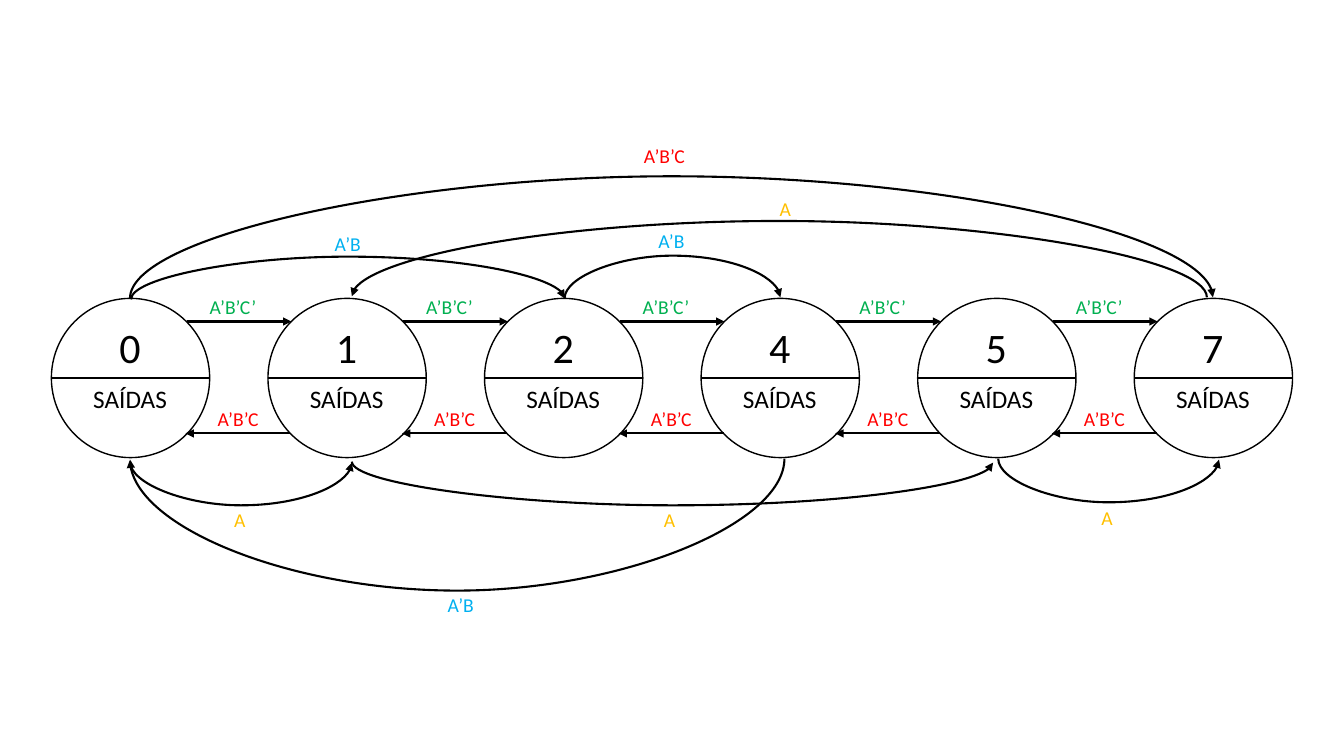
from lxml import etree
from pptx import Presentation
from pptx.dml.color import RGBColor
from pptx.enum.shapes import MSO_CONNECTOR, MSO_SHAPE
from pptx.enum.text import PP_ALIGN
from pptx.oxml.ns import qn
from pptx.util import Inches, Pt

STRAIGHT, CURVE = MSO_CONNECTOR.STRAIGHT, MSO_CONNECTOR.CURVE
CIRCLE = MSO_SHAPE.FLOWCHART_CONNECTOR
LEFT, CENTER = PP_ALIGN.LEFT, PP_ALIGN.CENTER
BLACK, GREEN, RED, BLUE, AMBER = "000000", "00B050", "FF0000", "00B0F0", "FFC000"

STATES = ["0", "1", "2", "4", "5", "7"]
FIRST_LEFT, LAST_LEFT = 0.51, 11.25
PITCH = (LAST_LEFT - FIRST_LEFT) / (len(STATES) - 1)
CIRCLE_TOP, CIRCLE_WIDTH, CIRCLE_HEIGHT = 2.96, 1.57, 1.58
MIDDLE = CIRCLE_TOP + CIRCLE_HEIGHT / 2
FORWARD_Y, BACK_Y = 3.19, 4.3
ARC_STEP = 0.01  # how far an arc's end lies beyond its start, towards the peak


def add_text(shapes, text, left, top, width, height=0.34, size=14, color=BLACK, align=CENTER):
    box = shapes.add_textbox(Inches(left), Inches(top), Inches(width), Inches(height))
    box.text_frame.word_wrap = True
    para = box.text_frame.paragraphs[0]
    para.alignment = align
    span = para.add_run()
    span.text = text
    span.font.name = "Calibri"
    span.font.size = Pt(size)
    span.font.color.rgb = RGBColor.from_string(color)


def add_line(shapes, x1, y1, x2, y2, kind=STRAIGHT, arrow=True):
    line = shapes.add_connector(kind, Inches(x1), Inches(y1), Inches(x2), Inches(y2))
    line.line.color.rgb = RGBColor.from_string(BLACK)
    line.line.width = Pt(1.5)
    properties = line._element.spPr
    if arrow:
        etree.SubElement(properties.find(qn("a:ln")), qn("a:tailEnd"), type="triangle")
    etree.SubElement(properties, qn("a:effectLst"))
    return line


deck = Presentation()
deck.slide_width, deck.slide_height = Inches(13.33), Inches(7.5)
page = deck.slides.add_slide(deck.slide_layouts[6])

# States: a divided circle with the number above and the outputs below
for index, number in enumerate(STATES):
    left = FIRST_LEFT + index * PITCH
    state = page.shapes.add_group_shape().shapes
    circle = state.add_shape(CIRCLE, Inches(left), Inches(CIRCLE_TOP),
                             Inches(CIRCLE_WIDTH), Inches(CIRCLE_HEIGHT))
    circle.shadow.inherit = False
    circle.fill.background()
    circle.line.color.rgb = RGBColor.from_string(BLACK)
    circle.line.width = Pt(1)
    add_line(state, left, MIDDLE, left + CIRCLE_WIDTH, MIDDLE, arrow=False)
    add_text(state, number, left + 0.28, 3.14, 1, 0.61, size=30)
    add_text(state, "SAÍDAS", left + 0.28, MIDDLE, 1, 0.4, size=18)

# Straight transitions between neighbours
for index in range(len(STATES) - 1):
    left = FIRST_LEFT + index * PITCH
    add_line(page.shapes, left + 1.34, FORWARD_Y, left + 2.38, FORWARD_Y)
    add_text(page.shapes, "A’B’C’", left + 1.47, 2.88, 0.69, color=GREEN, align=LEFT)
    add_line(page.shapes, left + 2.37, BACK_Y, left + 1.33, BACK_Y)
    add_text(page.shapes, "A’B’C", left + 1.55, 3.99, 0.69, color=RED, align=LEFT)

# Arcs: start x, end x, start y, peak y, label, label centre, label top, colour
ARCS = [
    (1.29, 12.03, 2.96, 1.73, "A’B’C", 6.59, 1.38, RED),
    (1.3, 5.6, 2.97, 2.54, "A’B", 3.45, 2.25, BLUE),
    (5.6, 7.74, 2.96, 2.53, "A’B", 6.66, 2.22, BLUE),
    (7.78, 1.29, 4.55, 5.88, "A’B", 4.57, 5.83, BLUE),
    (1.29, 3.49, 4.58, 5.02, "A", 2.38, 4.99, AMBER),
    (3.49, 9.85, 4.58, 5.02, "A", 6.64, 4.99, AMBER),
    (9.9, 12.09, 4.55, 4.99, "A", 10.98, 4.97, AMBER),
    (11.97, 3.49, 2.95, 2.18, "A", 7.79, 1.9, AMBER),
]
for start_x, end_x, start_y, peak_y, label, label_x, label_y, color in ARCS:
    rightward, upward = end_x > start_x, peak_y < start_y
    center_x = (start_x + end_x) / 2
    center_y = start_y + (-ARC_STEP if upward else ARC_STEP) / 2
    # The connector is laid out on its side, then turned a quarter about its centre
    half_width = ARC_STEP / 2 * (1 if rightward else -1)
    half_height = abs(end_x - start_x) / 2 * (1 if upward else -1)
    arc = add_line(page.shapes, center_x + half_width, center_y + half_height,
                   center_x - half_width, center_y - half_height, kind=CURVE)
    properties = arc._element.spPr
    quarter_turns = 1 if rightward == upward else 3
    properties.find(qn("a:xfrm")).set("rot", str(quarter_turns * 90 * 60000))
    bulge = round(abs(peak_y - start_y) / ARC_STEP * 100000)
    guides = properties.find(qn("a:prstGeom")).find(qn("a:avLst"))
    etree.SubElement(guides, qn("a:gd"), name="adj1", fmla=f"val {bulge}")
    add_text(page.shapes, label, label_x - 0.35, label_y, 0.7, color=color)

deck.save("out.pptx")
